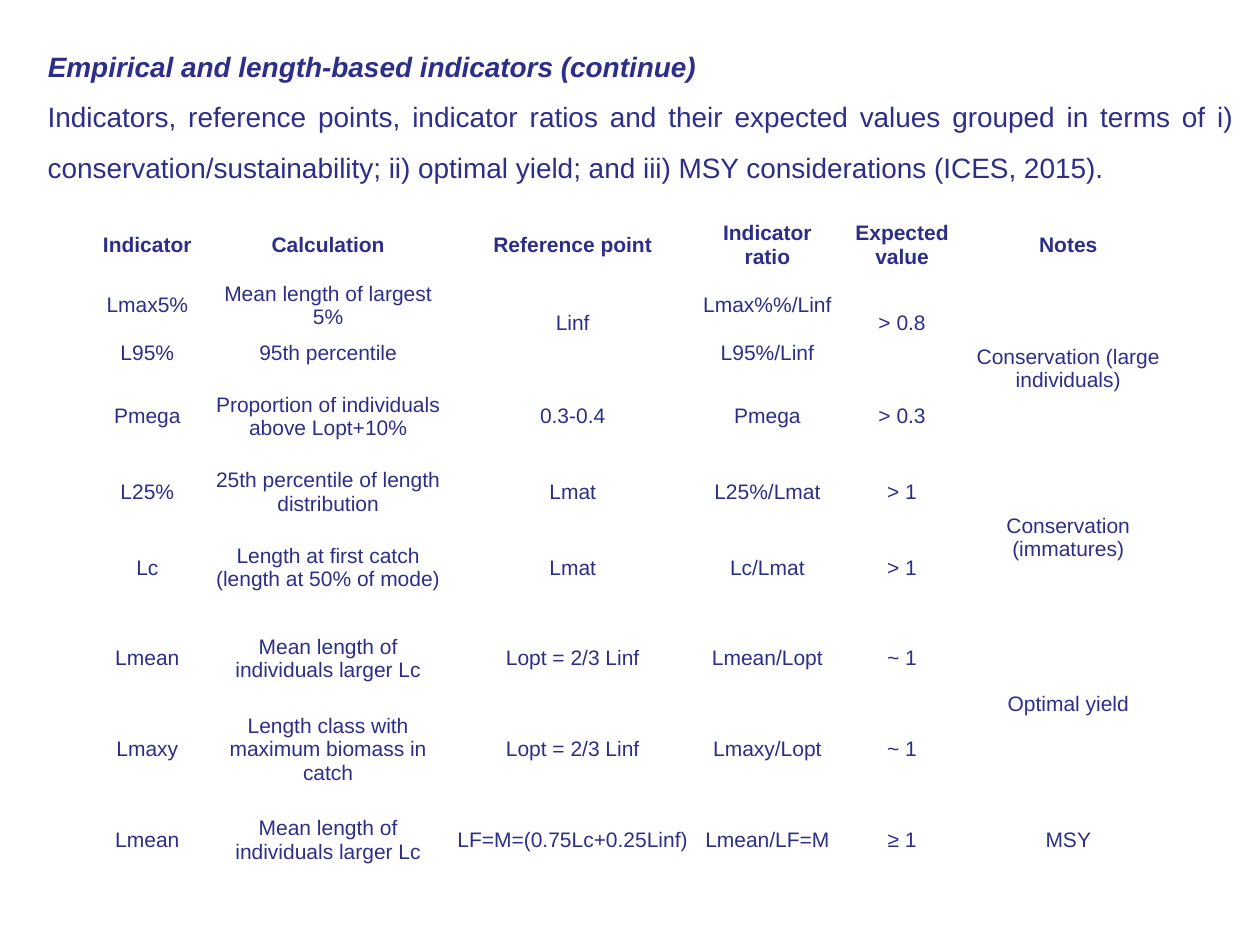
from dataclasses import dataclass

from lxml.etree import SubElement
from pptx import Presentation
from pptx.dml.color import RGBColor
from pptx.enum.text import MSO_ANCHOR as Anchor, MSO_AUTO_SIZE as AutoSize, PP_ALIGN as Align
from pptx.oxml.ns import qn
from pptx.util import Cm, Pt


@dataclass(frozen=True)
class Theme:
    """Colours, font and type sizes of the slide."""
    ink: RGBColor = RGBColor(0x2D, 0x2D, 0x8A)
    border: str = "FFFFFF"
    font: str = "Arial"
    text_size: Pt = Pt(16)
    table_size: Pt = Pt(12)


THEME = Theme()
TITLE = "Empirical and length-based indicators (continue)"
INTRO = ("Indicators, reference points, indicator ratios and their expected values "
         "grouped in terms of i) conservation/sustainability; ii) optimal yield; "
         "and iii) MSY considerations (ICES, 2015).")

COL_WIDTHS = [2.54, 4.75, 5.11, 2.74, 2.69, 4.01]
ROW_HEIGHTS = [1.22, 1.22, 0.71, 1.83, 1.22] + [1.83] * 4

# None continues the cell above.
INDICATORS = [
    ["Indicator", "Calculation", "Reference point", "Indicator ratio", "Expected value", "Notes"],
    ["Lmax5%", "Mean length of largest 5%", "Linf", "Lmax%%/Linf", "> 0.8",
     "Conservation (large individuals)"],
    ["L95%", "95th percentile", None, "L95%/Linf", None, None],
    ["Pmega", "Proportion of individuals above Lopt+10%", "0.3-0.4", "Pmega", "> 0.3", None],
    ["L25%", "25th percentile of length distribution", "Lmat", "L25%/Lmat", "> 1",
     "Conservation (immatures)"],
    ["Lc", "Length at first catch (length at 50% of mode)", "Lmat", "Lc/Lmat", "> 1", None],
    ["Lmean", "Mean length of individuals larger Lc", "Lopt = 2/3 Linf", "Lmean/Lopt", "~ 1",
     "Optimal yield"],
    ["Lmaxy", "Length class with maximum biomass in catch", "Lopt = 2/3 Linf", "Lmaxy/Lopt",
     "~ 1", None],
    ["Lmean", "Mean length of individuals larger Lc", "LF=M=(0.75Lc+0.25Linf)",
     "Lmean/LF=M", "≥ 1", "MSY"],
]


def write(tf, text, size, align, bold=False, italic=False, spacing=None):
    """Fill a text frame with one formatted paragraph."""
    tf.text = text
    p = tf.paragraphs[0]
    p.alignment = align
    p.line_spacing = spacing
    font = p.runs[0].font
    font.name, font.size = THEME.font, size
    font.bold, font.italic = bold, italic
    font.color.rgb = THEME.ink


def add_heading(s):
    """Place the slide title and the introduction below it."""
    left, width = Cm(0.71), Cm(24.41)
    title = s.shapes.title
    title.left, title.top, title.width, title.height = left, Cm(0.53), width, Cm(1.27)
    intro = s.shapes.add_textbox(left, Cm(1.55), width, Cm(2.3))
    for sp, text, strong in ((title, TITLE, True), (intro, INTRO, False)):
        tf = sp.text_frame
        tf.word_wrap = True
        tf.auto_size = AutoSize.NONE
        tf.vertical_anchor = Anchor.TOP
        write(tf, text, THEME.text_size, Align.JUSTIFY, strong, strong, 1.5)


def set_borders(cell):
    """Draw a thin line on all four sides of a cell."""
    tc_pr = cell._tc.get_or_add_tcPr()
    for i, side in enumerate(("lnL", "lnR", "lnT", "lnB")):
        ln = SubElement(tc_pr, qn(f"a:{side}"), w=str(Pt(1)))
        fill = SubElement(ln, qn("a:solidFill"))
        SubElement(fill, qn("a:srgbClr"), val=THEME.border)
        tc_pr.remove(ln)
        tc_pr.insert(i, ln)


def merge_continued(table, rows):
    """Merge each cell with the None entries below it."""
    for c in range(len(rows[0])):
        for r in range(len(rows)):
            end = r
            while end + 1 < len(rows) and rows[end + 1][c] is None:
                end += 1
            if rows[r][c] is not None and end > r:
                table.cell(r, c).merge(table.cell(end, c))


def add_indicator_table(s):
    """Add the table of indicators and reference points."""
    frame = s.shapes.add_table(len(INDICATORS), len(COL_WIDTHS), Cm(1.7), Cm(4.32),
                               Cm(sum(COL_WIDTHS)), Cm(sum(ROW_HEIGHTS)))
    table = frame.table
    table.horz_banding = False
    for col, width in zip(table.columns, COL_WIDTHS):
        col.width = Cm(width)
    for row, height in zip(table.rows, ROW_HEIGHTS):
        row.height = Cm(height)
    for r, texts in enumerate(INDICATORS):
        for c, text in enumerate(texts):
            cell = table.cell(r, c)
            cell.fill.background()
            set_borders(cell)
            cell.vertical_anchor = Anchor.MIDDLE
            cell.margin_left = cell.margin_right = cell.margin_top = Cm(0.02)
            cell.margin_bottom = 0
            if text is not None:
                write(cell.text_frame, text, THEME.table_size, Align.CENTER, bold=r == 0)
    merge_continued(table, INDICATORS)


def main():
    """Build the slide and save it."""
    prs = Presentation()
    prs.slide_width, prs.slide_height = Cm(25.4), Cm(19.05)
    s = prs.slides.add_slide(prs.slide_layouts[5])
    add_heading(s)
    add_indicator_table(s)
    prs.save("out.pptx")


main()
